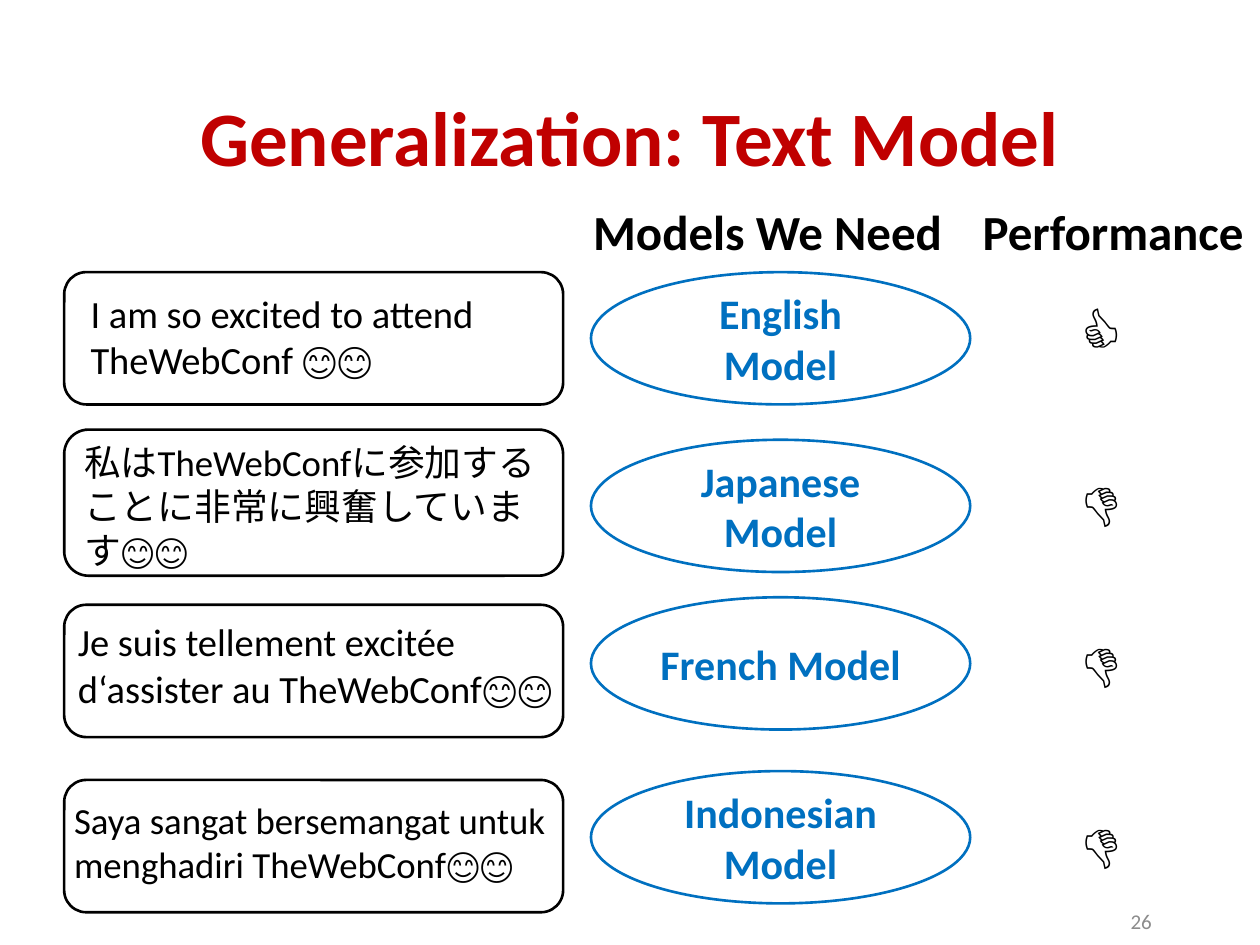
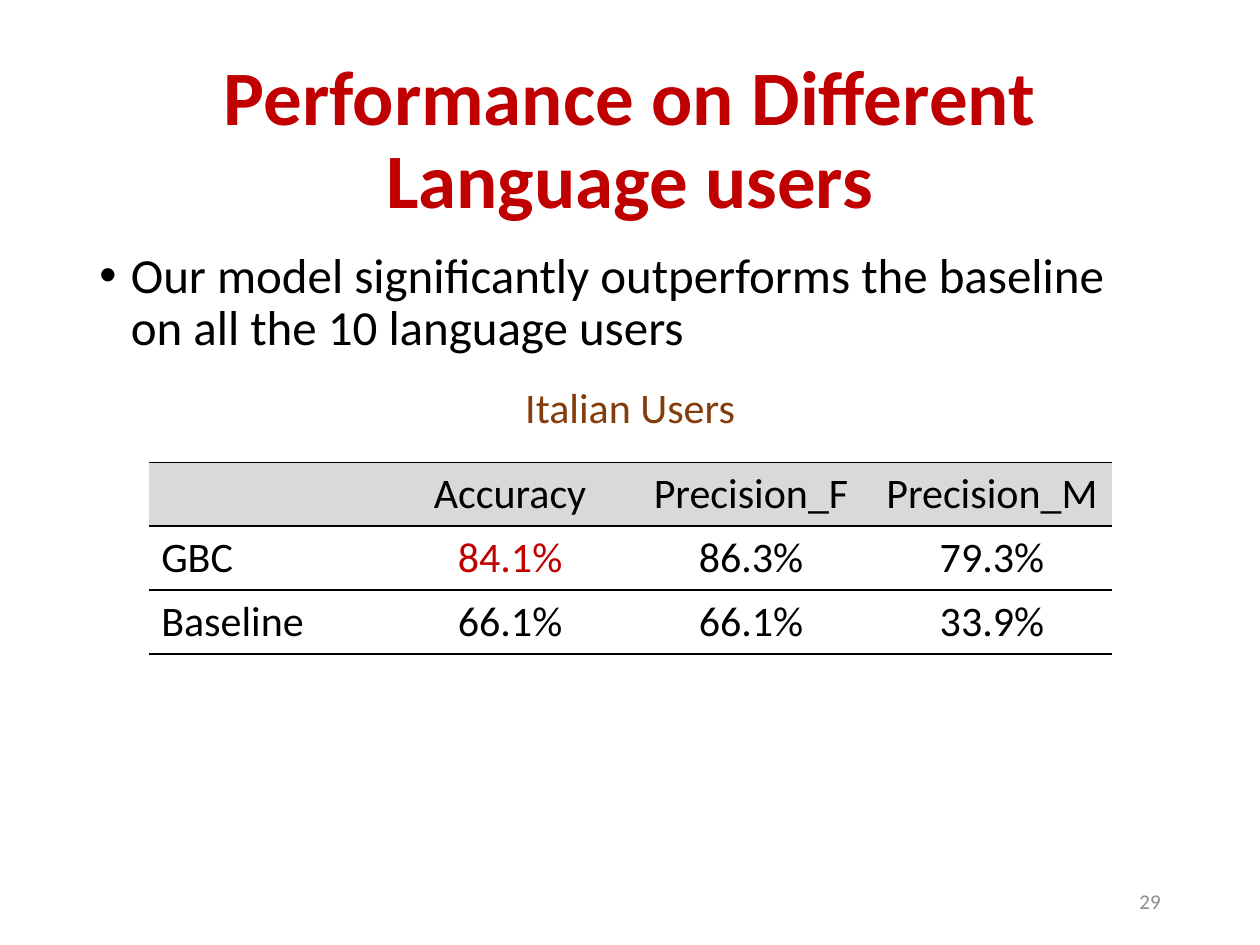
from dataclasses import dataclass

from lxml import etree
from pptx import Presentation
from pptx.dml.color import RGBColor
from pptx.enum.shapes import MSO_SHAPE as Shape
from pptx.enum.text import MSO_ANCHOR as Anchor, PP_ALIGN as Align
from pptx.oxml.ns import qn
from pptx.util import Inches, Pt

COLORS = {
    "title": "C00000",
    "text": "000000",
    "model": "0070C0",
    "caption": "843C0B",
    "header": "D9D9D9",
    "number": "8C8C8C",
}
FONT = "Calibri"


def color(name):
    return RGBColor.from_string(COLORS[name])


def add_span(para, text, size, tint="text", bold=False):
    span = para.add_run()
    span.text = text
    span.font.name = FONT
    span.font.size = Pt(size)
    span.font.bold = bold
    span.font.color.rgb = color(tint)


def add_text(page, box, text, size, tint="text", bold=False,
             align=Align.LEFT, anchor=Anchor.TOP, wrap=True):
    frame = page.shapes.add_textbox(*map(Inches, box)).text_frame
    frame.word_wrap = wrap
    frame.vertical_anchor = anchor
    para = frame.paragraphs[0]
    para.alignment = align
    add_span(para, text, size, tint, bold)
    return para


def add_outline(page, kind, box, tint):
    shape = page.shapes.add_shape(kind, *map(Inches, box))
    shape.shadow.inherit = False
    shape.fill.background()
    shape.line.color.rgb = color(tint)
    shape.line.width = Pt(1.5)
    return shape


# Title and page number shared by both slides
def add_page(deck, title, number, number_at):
    page = deck.slides.add_slide(deck.slide_layouts[6])
    para = add_text(page, (0.69, 0.4, 8.62, 1.45), title, 44, "title", True,
                    Align.CENTER, Anchor.MIDDLE)
    para.line_spacing = 0.9
    add_text(page, (*number_at, 2.25, 0.4), number, 12, "number",
             align=Align.RIGHT, anchor=Anchor.MIDDLE)
    return page


@dataclass
class Message:
    text: str
    size: int
    text_box: tuple  # relative to the bubble
    top: float
    model: str
    model_shift: float
    thumb: str
    thumb_shift: float
    height: float = 1.05


MESSAGES = [
    Message("I am so excited to attend TheWebConf 😊😊", 22,
            (0.11, 0.09, 3.85, 0.84), 2.16, "English Model", 0, "👍", 0.11),
    Message("私はTheWebConfに参加することに非常に興奮しています😊😊", 21,
            (0.06, 0.03, 3.85, 1.16), 3.41, "Japanese Model", 0.08, "👎", 0.22, 1.16),
    Message("Je suis tellement excitée d‘assister au TheWebConf😊😊", 22,
            (0.01, 0.06, 4.17, 0.84), 4.8, "French Model", -0.06, "👎", 0.11),
    Message("Saya sangat bersemangat untuk menghadiri TheWebConf😊😊", 21,
            (-0.02, 0.09, 4, 0.81), 6.19, "Indonesian Model", -0.07, "👎", 0.15),
]


# One language: message bubble, model ellipse, thumb
def add_message_row(page, left, message):
    top = message.top
    dx, dy, width, height = message.text_box
    add_text(page, (left + dx, top + dy, width, height), message.text, message.size)
    add_outline(page, Shape.ROUNDED_RECTANGLE, (left, top, 3.96, message.height), "text")

    ellipse = add_outline(page, Shape.OVAL,
                          (left + 4.18, top + message.model_shift, 3.01, 1.05), "model")
    frame = ellipse.text_frame
    frame.word_wrap = True
    frame.vertical_anchor = Anchor.MIDDLE
    para = frame.paragraphs[0]
    para.alignment = Align.CENTER
    add_span(para, message.model, 24, "model", True)

    add_text(page, (left + 7.97, top + message.thumb_shift, 0.71, 0.71),
             message.thumb, 36, wrap=False)


def build_text_model(deck):
    page = add_page(deck, "Generalization: Text Model", "26", (6.99, 7.11))
    for heading, left, width in (("Models We Need", 4.61, 3), ("Performance", 7.7, 2.3)):
        add_text(page, (left, 1.55, width, 0.57), heading, 28, bold=True, wrap=False)
    for message in MESSAGES:
        add_message_row(page, 0.51, message)


def add_bullet(para, indent):
    props = para._p.get_or_add_pPr()
    props.set("marL", str(Inches(indent)))
    props.set("indent", str(-Inches(indent)))
    font = etree.SubElement(props, qn("a:buFont"))
    font.set("typeface", "Arial")
    etree.SubElement(props, qn("a:buChar")).set("char", "•")


# Horizontal rules only; the sides stay open
def set_borders(cell):
    props = cell._tc.get_or_add_tcPr()
    for index, side in enumerate(("lnL", "lnR", "lnT", "lnB")):
        line = etree.Element(qn(f"a:{side}"), w=str(Pt(1)))
        if side in ("lnL", "lnR"):
            etree.SubElement(line, qn("a:noFill"))
        else:
            fill = etree.SubElement(line, qn("a:solidFill"))
            etree.SubElement(fill, qn("a:srgbClr")).set("val", COLORS["text"])
        props.insert(index, line)


def add_score_table(page, box, rows, best):
    table = page.shapes.add_table(len(rows), len(rows[0]), *map(Inches, box)).table
    table.first_row = False
    table.horz_banding = False
    for r, row in enumerate(rows):
        for c, text in enumerate(row):
            cell = table.cell(r, c)
            if r == 0:
                cell.fill.solid()
                cell.fill.fore_color.rgb = color("header")
            else:
                cell.fill.background()
            set_borders(cell)
            if text:
                para = cell.text_frame.paragraphs[0]
                para.alignment = Align.CENTER if c else Align.LEFT
                add_span(para, text, 24, "title" if (r, c) == best else "text")


def build_language_users(deck):
    page = add_page(deck, "Performance on Different Language users", "29", (7.06, 6.95))
    para = add_text(page, (0.69, 1.94, 8.62, 5.41),
                    "Our model significantly outperforms the baseline "
                    "on all the 10 language users", 28)
    para.line_spacing = 0.9
    add_bullet(para, 0.25)
    add_score_table(page, (1.18, 3.67, 7.65, 1.52), [
        ("", "Accuracy", "Precision_F", "Precision_M"),
        ("GBC", "84.1%", "86.3%", "79.3%"),
        ("Baseline", "66.1%", "66.1%", "33.9%"),
    ], best=(1, 1))
    add_text(page, (4.07, 2.98, 1.88, 0.5), "Italian Users", 24, "caption", wrap=False)


def main():
    deck = Presentation()
    deck.slide_width = Inches(10)
    deck.slide_height = Inches(7.5)
    build_text_model(deck)
    build_language_users(deck)
    deck.save("out.pptx")


if __name__ == "__main__":
    main()
